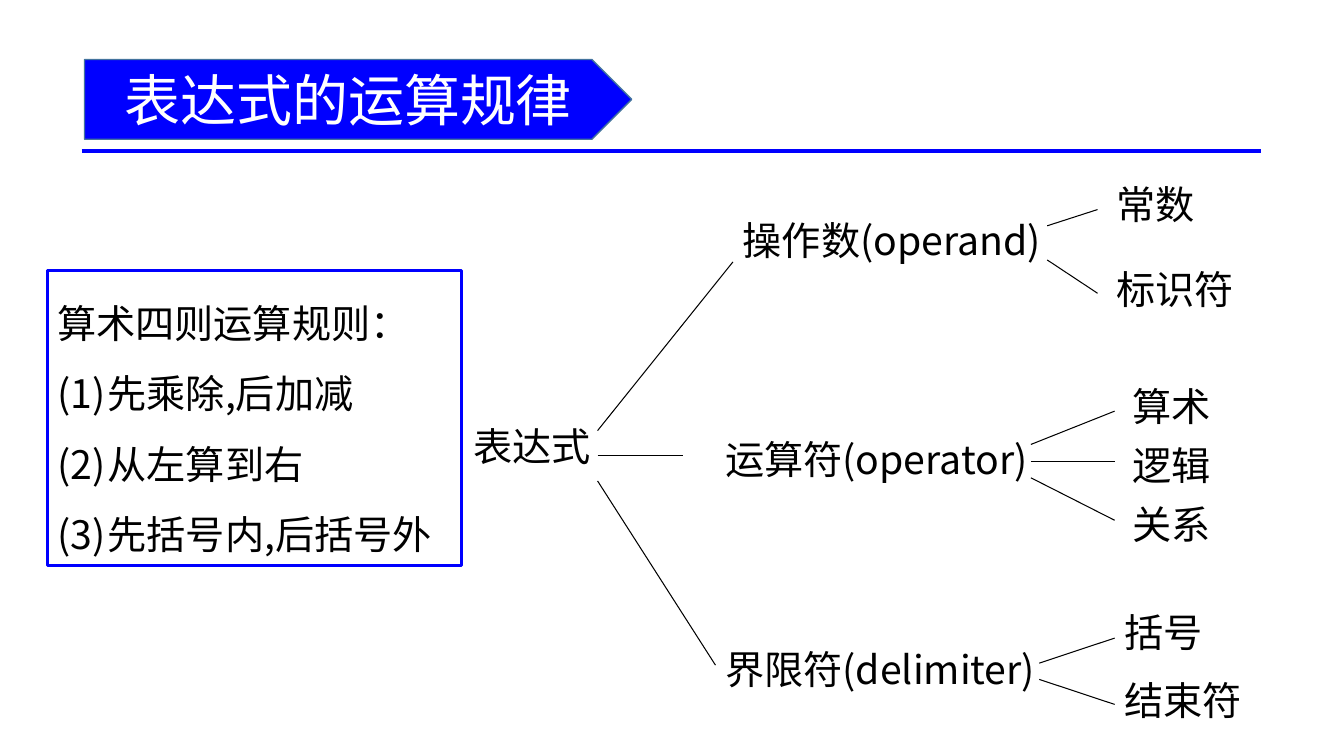
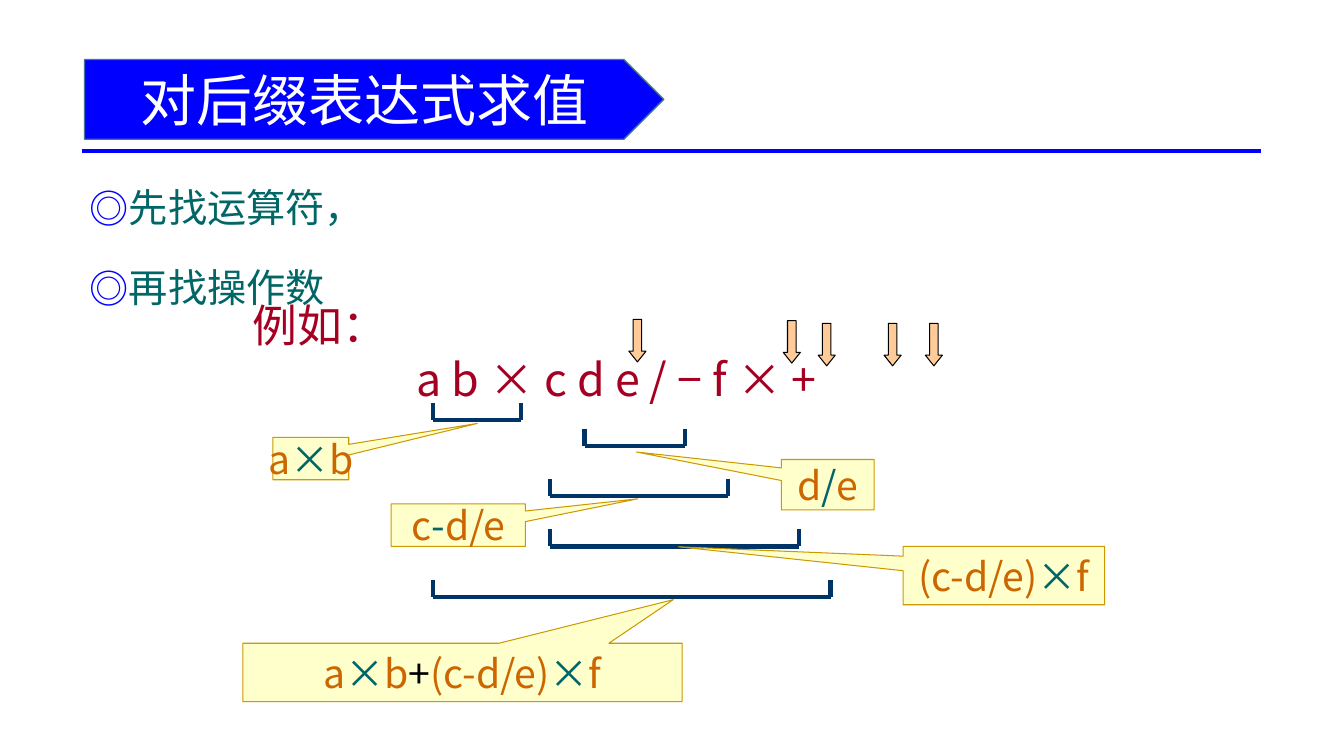
from lxml.etree import SubElement
from pptx import Presentation
from pptx.dml.color import RGBColor
from pptx.enum.shapes import MSO_CONNECTOR, MSO_SHAPE
from pptx.enum.text import MSO_ANCHOR, MSO_AUTO_SIZE, PP_ALIGN
from pptx.oxml.ns import qn
from pptx.util import Cm, Pt

FONT = "Noto Sans CJK SC"
BLUE, WHITE, BLACK = "0000FF", "FFFFFF", "000000"
TEAL, ORANGE, CRIMSON, NAVY = "006666", "CC6600", "A50021", "003366"


def rgb(value):
    return RGBColor.from_string(value)


class Deck:
    """Holds the shared style and the current slide."""

    def __init__(self):
        self.prs = Presentation()
        self.prs.slide_width, self.prs.slide_height = Cm(33.87), Cm(19.05)
        self.slide = None

    # Slide frame: pentagon title band and rule
    def new_slide(self, title, band_width):
        self.slide = self.prs.slides.add_slide(self.prs.slide_layouts[1])
        left, top, height = 2.13, 1.5, 2.01
        band = self.shape(MSO_SHAPE.PENTAGON, (left, top, band_width, height),
                          BLUE, "43739E", 1)
        sp = self.slide.shapes.title
        sp.element.addprevious(band.element)
        self.place(sp, (left, top, band_width - 0.5, height))
        tf = sp.text_frame
        tf.auto_size = MSO_AUTO_SIZE.NONE
        tf.vertical_anchor = MSO_ANCHOR.MIDDLE
        tf.text = title
        tf.paragraphs[0].alignment = PP_ALIGN.CENTER
        self.format(tf.paragraphs[0].runs[0], WHITE, 40)
        self.line((2.06, 3.81), (31.78, 3.81), BLUE, 3)

    def place(self, sp, box):
        sp.left, sp.top, sp.width, sp.height = map(Cm, box)

    def format(self, r, color=BLACK, size=28):
        r.font.size = Pt(size)
        r.font.color.rgb = rgb(color)
        r.font.name = FONT
        SubElement(r.font._element, qn("a:ea"), typeface=FONT)

    def shape(self, kind, box, fill, outline, width=0.75):
        sp = self.slide.shapes.add_shape(kind, *map(Cm, box))
        sp.shadow.inherit = False
        sp.fill.solid()
        sp.fill.fore_color.rgb = rgb(fill)
        sp.line.color.rgb = rgb(outline)
        sp.line.width = Pt(width)
        return sp

    def line(self, start, end, color=BLACK, width=0.75):
        cxn = self.slide.shapes.add_connector(
            MSO_CONNECTOR.STRAIGHT, *map(Cm, start + end))
        cxn.line.color.rgb = rgb(color)
        cxn.line.width = Pt(width)
        SubElement(cxn._element.spPr, qn("a:effectLst"))

    def label(self, lines, left, top, width, color=BLACK, size=28):
        height = 1.45 * len(lines)
        sp = self.slide.shapes.add_textbox(*map(Cm, (left, top, width, height)))
        tf = sp.text_frame
        tf.word_wrap = True
        tf.text = "\n".join(lines)
        for p in tf.paragraphs:
            self.format(p.runs[0], color, size)
        return tf

    # Body list; each item is (text, bullet), "auto" numbers it, None is plain
    def body(self, items, box, color, spacing, before, indent, outline=None):
        sp = self.slide.placeholders[1]
        self.place(sp, box)
        if outline:
            sp.line.color.rgb = rgb(outline)
            sp.line.width = Pt(2)
        tf = sp.text_frame
        tf.auto_size = MSO_AUTO_SIZE.NONE
        tf.text = "\n".join(text for text, _ in items)
        for p, (_, bullet) in zip(tf.paragraphs, items):
            p.line_spacing, p.space_before = spacing, Pt(before)
            self.format(p.runs[0], color)
            self.bullet(p, bullet, indent if bullet else 0, outline is None)

    def bullet(self, p, bullet, indent, colored):
        pPr = p._p.get_or_add_pPr()
        pPr.set("marL", str(Cm(indent)))
        pPr.set("indent", str(-Cm(indent)))
        if bullet is None:
            SubElement(pPr, qn("a:buNone"))
            return
        if colored:
            SubElement(SubElement(pPr, qn("a:buClr")), qn("a:srgbClr"), val=BLUE)
        SubElement(pPr, qn("a:buFont"), typeface=FONT)
        if bullet == "auto":
            SubElement(pPr, qn("a:buAutoNum"), type="arabicParenBoth")
        else:
            SubElement(pPr, qn("a:buChar"), char=bullet)

    # Operands and operators alternate in the parts of a callout
    def callout(self, parts, box, tip):
        sp = self.shape(MSO_SHAPE.RECTANGULAR_CALLOUT, box, "FFFFCC", "CC9900")
        left, top, width, height = box
        sp.adjustments[0] = (tip[0] - left) / width - 0.5
        sp.adjustments[1] = (tip[1] - top) / height - 0.5
        tf = sp.text_frame
        tf.word_wrap = False
        tf.vertical_anchor = MSO_ANCHOR.MIDDLE
        p = tf.paragraphs[0]
        p.alignment = PP_ALIGN.CENTER
        for i, part in enumerate(parts):
            r = p.add_run()
            r.text = part
            color = TEAL if i % 2 else ORANGE
            self.format(r, BLACK if part == "+" else color)

    def bracket(self, left, right, bottom):
        top = bottom - 0.43
        self.line((left, bottom), (right, bottom), NAVY, 3)
        for x in (left, right):
            self.line((x, top), (x, bottom), NAVY, 3)

    def down_arrow(self, left, top):
        sp = self.shape(MSO_SHAPE.DOWN_ARROW, (left, top, 0.43, 1.07),
                        "FFCC99", BLACK)
        sp.adjustments[0], sp.adjustments[1] = 0.5, 0.625


def expression_rules(deck):
    deck.new_slide("表达式的运算规律", 13.79)
    deck.body([("算术四则运算规则：", None), ("先乘除,后加减", "auto"),
               ("从左算到右", "auto"), ("先括号内,后括号外", "auto")],
              (1.19, 6.81, 10.44, 7.44), BLACK, 1.5, 0, 1.27, BLUE)

    # Tree: trunk (start y, end), branch label, fan x range, leaves
    # Each leaf: text, label top, line start y, line end y
    branches = [
        (10.85, (18.47, 6.6), "操作数(operand)", 18.47, 5.33,
         26.39, 27.66, 27.89,
         [("常数", 4.42, 5.69, 5.28), ("标识符", 6.55, 6.55, 7.39)]),
        (11.48, (17.2, 11.48), "运算符(operator)", 18.03, 10.85,
         25.98, 28.09, 28.3,
         [("算术", 9.5, 11.2, 10.36), ("逻辑", 11, 11.63, 11.63),
          ("关系", 12.47, 12.04, 13.11)]),
        (12.12, (18.03, 16.76), "界限符(delimiter)", 18.03, 16.13,
         26.19, 28.09, 28.09,
         [("括号", 15.21, 16.71, 16.08), ("结束符", 16.92, 17.12, 17.75)]),
    ]
    deck.label(["表达式"], 11.68, 10.52, 4)
    for trunk_y, trunk_end, name, x, y, fan, fan_end, leaf_x, leaves in branches:
        deck.line((15.06, trunk_y), trunk_end)
        deck.label([name], x, y, 9.5)
        for text, top, start_y, end_y in leaves:
            deck.line((fan, start_y), (fan_end, end_y))
            deck.label([text], leaf_x, top, 3.8)


def postfix_evaluation(deck):
    deck.new_slide("对后缀表达式求值", 14.6)
    deck.body([("先找运算符，", "◎"), ("再找操作数", "◎")],
              (2.01, 4.01, 7.85, 3.84), TEAL, 1.4, 10, 0.64)
    tf = deck.label(["例如：", "a b × c d e / − f × +"],
                    6.12, 7.39, 18.24, CRIMSON, 32)
    tf.paragraphs[1]._p.get_or_add_pPr().set("marL", str(Cm(4.13)))

    # Evaluation steps: bracket, callout parts, callout box, callout tip
    steps = [
        ((10.92, 13.13, 10.59), ["a", "×", "b"],
         (6.88, 11.02, 1.91, 1.07), (12.03, 10.67)),
        ((14.73, 17.27, 11.23), ["d", "/", "e"],
         (19.69, 11.58, 2.34, 1.27), (16.04, 11.39)),
        ((13.87, 18.34, 12.5), ["c", "-", "d/e"],
         (9.86, 12.7, 3.38, 1.07), (16.07, 12.57)),
        ((13.87, 20.14, 13.77), ["(c-d/e)", "×", "f"],
         (22.76, 13.77, 5.08, 1.47), (17.1, 13.78)),
        ((10.92, 20.93, 15.04), ["a", "×", "b", "+", "(c-d/e)", "×", "f"],
         (6.12, 16.21, 11.07, 1.47), (16.97, 15.11)),
    ]
    for span, parts, box, tip in steps:
        deck.bracket(*span)
        deck.callout(parts, box, tip)

    # Operator markers
    for left, top in [(15.85, 8.05), (19.74, 8.08), (20.62, 8.15),
                      (22.28, 8.15), (23.32, 8.15)]:
        deck.down_arrow(left, top)


def main():
    deck = Deck()
    expression_rules(deck)
    postfix_evaluation(deck)
    deck.prs.save("out.pptx")


if __name__ == "__main__":
    main()
